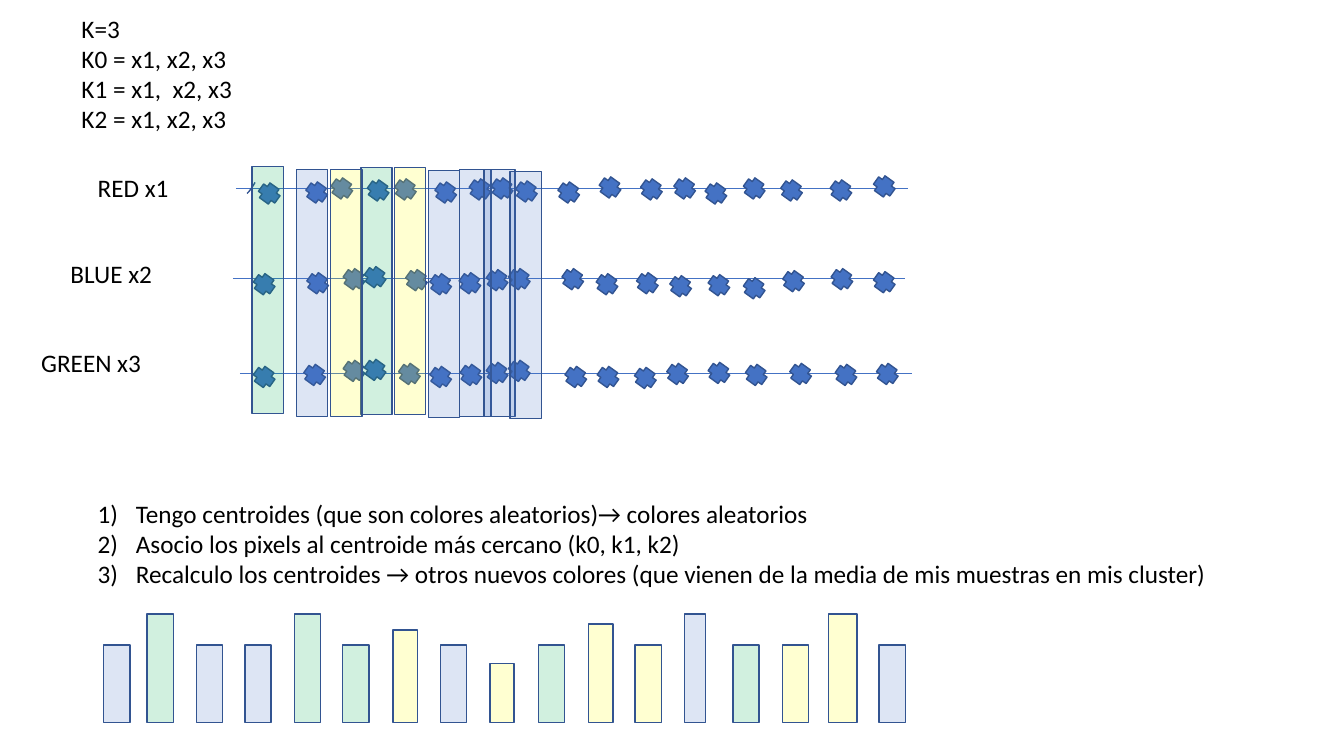
from pptx import Presentation
from pptx.util import Inches, Pt
from pptx.dml.color import RGBColor
from pptx.enum.shapes import MSO_SHAPE as Kind, MSO_CONNECTOR as Link
from pptx.enum.text import MSO_AUTO_SIZE as Fit
from pptx.oxml.ns import qn
from lxml.etree import SubElement as Sub

HUES = {"blue": "4472C4", "green": "00B050", "yellow": "FFFF00",
        "edge": "325491", "ink": "000000"}

NOTES = [
    (0.71, 0.08, 2.68, 1.31, ["K=3", "K0 = x1, x2, x3", "K1 = x1,  x2, x3", "K2 = x1, x2, x3"]),
]
STEPS = (0.87, 4.89, 12.2, 1.31, [
    "Tengo centroides (que son colores aleatorios)→ colores aleatorios",
    "Asocio los pixels al centroide más cercano (k0, k1, k2)",
    "Recalculo los centroides → otros nuevos colores (que vienen de la media de mis muestras en mis cluster)",
])

ROWS = [
    {"label": ("RED x1", 0.87, 1.66, 0.99), "axis": (2.34, 1.87), "marks": [
        (2.57, 1.83), (3.04, 1.82), (3.29, 1.78), (3.65, 1.8), (3.92, 1.79), (4.32, 1.82),
        (4.66, 1.79), (4.88, 1.78), (5.12, 1.81), (5.54, 1.82), (5.95, 1.77), (6.36, 1.79),
        (6.69, 1.78), (7, 1.83), (7.38, 1.78), (7.75, 1.8), (8.24, 1.8), (8.67, 1.76)]},
    {"label": ("BLUE x2", 0.6, 2.51, 1.52), "axis": (2.31, 2.76), "marks": [
        (2.52, 2.73), (3.05, 2.72), (3.41, 2.68), (3.62, 2.66), (4.03, 2.69), (4.27, 2.73),
        (4.56, 2.72), (4.83, 2.69), (5.05, 2.68), (5.58, 2.68), (5.92, 2.73), (6.32, 2.72),
        (6.65, 2.75), (7.03, 2.74), (7.38, 2.77), (7.77, 2.7), (8.25, 2.68), (8.67, 2.71)]},
    {"label": ("GREEN x3", 0.31, 3.4, 1.52), "axis": (2.38, 3.7), "marks": [
        (2.52, 3.65), (3.02, 3.63), (3.41, 3.59), (3.62, 3.58), (3.96, 3.62), (4.27, 3.65),
        (4.57, 3.63), (4.83, 3.61), (5.05, 3.59), (5.61, 3.65), (5.93, 3.65), (6.3, 3.66),
        (6.62, 3.62), (7.03, 3.61), (7.4, 3.63), (7.84, 3.62), (8.29, 3.63), (8.7, 3.62)]},
]
SPAN = 6.67
TICK = [(2.53, 1.81), (2.5, 1.86), (2.47, 1.9), (2.45, 1.92)]

BANDS = [
    ("blue", 2.94, 1.68), ("green", 3.58, 1.66), ("yellow", 3.91, 1.66),
    ("yellow", 3.28, 1.68), ("blue", 4.25, 1.69), ("green", 2.5, 1.65),
    ("blue", 4.56, 1.68), ("blue", 4.8, 1.68), ("blue", 5.06, 1.7),
]

BASE = 7.17
BARS = [
    ("blue", 1.03, 0.26, 0.77), ("green", 1.46, 0.26, 1.08), ("blue", 1.95, 0.26, 0.77),
    ("blue", 2.43, 0.26, 0.77), ("green", 2.92, 0.26, 1.08), ("green", 3.4, 0.26, 0.77),
    ("yellow", 3.9, 0.24, 0.92), ("blue", 4.37, 0.26, 0.77), ("yellow", 4.86, 0.24, 0.59),
    ("green", 5.34, 0.26, 0.77), ("yellow", 5.84, 0.24, 0.98), ("yellow", 6.3, 0.26, 0.77),
    ("blue", 6.79, 0.21, 1.08), ("green", 7.27, 0.26, 0.77), ("yellow", 7.76, 0.26, 0.77),
    ("yellow", 8.22, 0.28, 1.08), ("blue", 8.72, 0.26, 0.77),
]

deck = Presentation()
deck.slide_width, deck.slide_height = Inches(13.33), Inches(7.5)
slide = deck.slides.add_slide(deck.slide_layouts[6])
shapes = slide.shapes


def hue(name):
    return RGBColor.from_string(HUES[name])


def outline(shape):
    shape.shadow.inherit = False
    shape.line.color.rgb = hue("edge")
    shape.line.width = Pt(1)


def block(kind, tint, x, y, w, h, alpha=None):
    shape = shapes.add_shape(kind, Inches(x), Inches(y), Inches(w), Inches(h))
    shape.fill.solid()
    shape.fill.fore_color.rgb = hue(tint)
    outline(shape)
    if alpha:
        tone = shape.fill._xPr.find(qn("a:solidFill"))[0]
        Sub(tone, qn("a:alpha")).set("val", str(alpha * 1000))
    return shape


def write(x, y, w, h, lines, listed=False):
    box = shapes.add_textbox(Inches(x), Inches(y), Inches(w), Inches(h))
    frame = box.text_frame
    frame.word_wrap = True
    frame.auto_size = Fit.SHAPE_TO_FIT_TEXT
    frame.text = "\n".join(lines)
    for para in frame.paragraphs:
        for run in para.runs:
            run.font.name, run.font.size = "Calibri", Pt(18)
            run.font.color.rgb = hue("ink")
        if listed:
            props = para._p.get_or_add_pPr()
            props.set("marL", str(Inches(0.38)))
            props.set("indent", str(-Inches(0.38)))
            Sub(props, qn("a:buFont")).set("typeface", "+mj-lt")
            Sub(props, qn("a:buAutoNum")).set("type", "arabicParenR")


for row in ROWS:
    x, y = row["axis"]
    axis = shapes.add_connector(Link.STRAIGHT, Inches(x), Inches(y), Inches(x + SPAN), Inches(y))
    axis.line.color.rgb = hue("blue")
    axis.line.width = Pt(0.5)
    Sub(axis._element.spPr, qn("a:effectLst"))
    name, x, y, w = row["label"]
    write(x, y, w, 0.4, [name])

pen = [(Inches(x), Inches(y)) for x, y in TICK]
path = shapes.build_freeform(*pen[0])
path.add_line_segments(pen[1:], close=False)
tick = path.convert_to_shape()
tick.fill.background()
outline(tick)

for row in ROWS:
    for x, y in row["marks"]:
        block(Kind.CROSS, "blue", x, y, 0.2, 0.18).rotation = 35.7

for tint, x, y in BANDS:
    block(Kind.RECTANGLE, tint, x, y, 0.31, 2.45, 18)

for tint, x, w, h in BARS:
    block(Kind.RECTANGLE, tint, x, BASE - h, w, h, 18)

for note in NOTES:
    write(*note)
write(*STEPS, listed=True)

deck.save("out.pptx")
